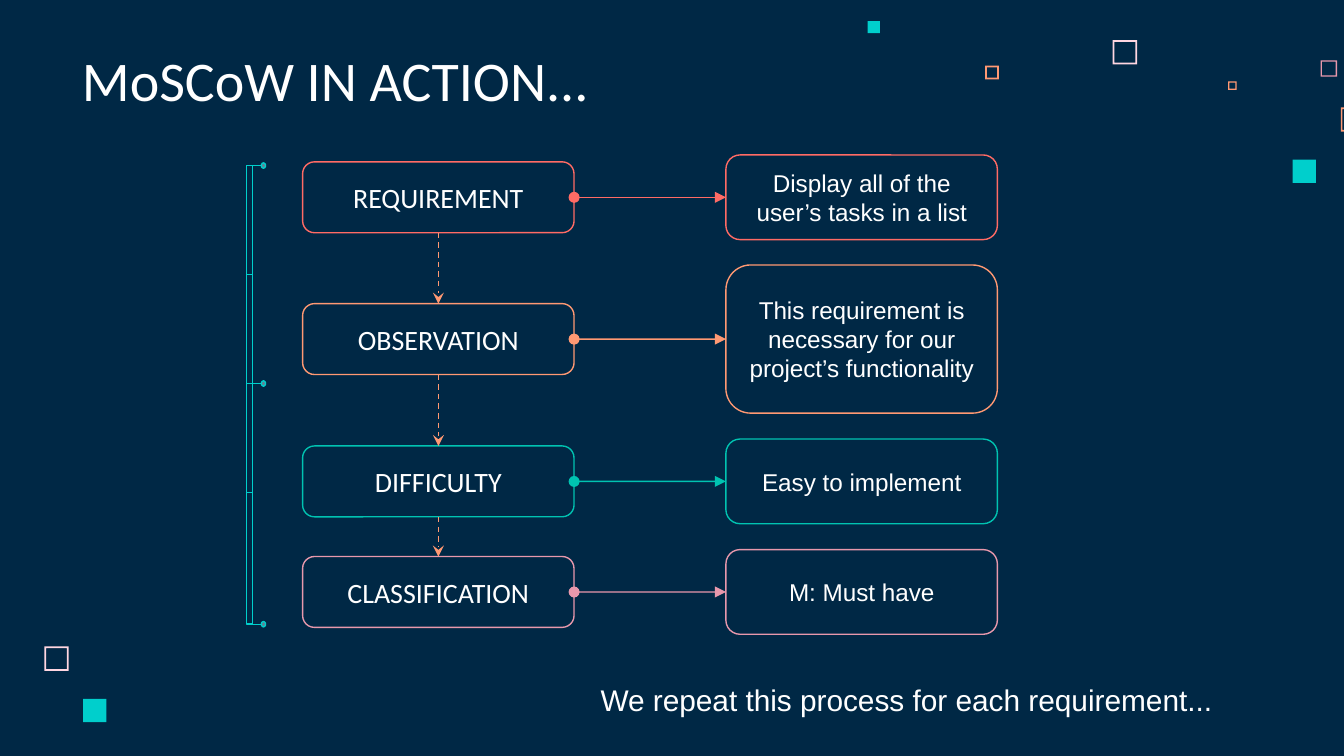
from dataclasses import dataclass
from itertools import pairwise

from pptx import Presentation
from pptx import util as u
from pptx.dml.color import RGBColor
from pptx.enum import dml, shapes, text
from pptx.oxml import ns
from lxml import etree

CORAL, ORANGE, GREEN, PINK = "FF6B65", "FF9973", "00C3B1", "E898AC"
WHITE, CYAN, BLUSH, SLATE, NAVY = "FFFFFF", "00CFCC", "FFD6E1", "667E92", "002845"


@dataclass
class Square:
    x: float
    y: float
    size: float
    color: str
    border: float = 0  # share of the size; 0 means solid


@dataclass
class Step:
    name: str
    example: str
    color: str
    mid: float
    example_h: float = 1.6


SQUARES = [
    Square(21.03, 0.76, 0.46, BLUSH, 0.07),
    Square(24.96, 1.14, 0.31, PINK, 0.08),
    Square(23.21, 1.54, 0.16, ORANGE, 0.15),
    Square(25.34, 2.03, 0.46, ORANGE, 0.07),
    Square(24.43, 3.02, 0.44, CYAN),
    Square(18.62, 1.24, 0.26, ORANGE, 0.13),
    Square(16.4, 0.4, 0.23, CYAN),
    Square(0.84, 12.22, 0.46, BLUSH, 0.07),
    Square(1.57, 13.21, 0.44, CYAN),
]
STEPS = [
    Step("REQUIREMENT", "Display all of the user’s tasks in a list", CORAL, 3.73),
    Step("OBSERVATION", "This requirement is necessary for our project’s functionality",
         ORANGE, 6.41, 2.8),
    Step("DIFFICULTY", "Easy to implement", GREEN, 9.1),
    Step("CLASSIFICATION", "M: Must have", PINK, 11.19),
]
NAME_X, EXAMPLE_X, BOX_W, NAME_H = 5.72, 13.72, 5.13, 1.34
RULER_X, RULER_W = 4.66, 0.11
RULER_MARKS = [3.13, 5.19, 7.25, 9.31, 11.8]


def rgb(color: str) -> RGBColor:
    return RGBColor.from_string(color)


def add_shape(kind, x: float, y: float, w: float, h: float, fill=None, line=None):
    sp = s.shapes.add_shape(kind, u.Cm(x), u.Cm(y), u.Cm(w), u.Cm(h))
    sp.shadow.inherit = False
    if fill:
        sp.fill.solid()
        sp.fill.fore_color.rgb = rgb(fill)
    else:
        sp.fill.background()
    if line:
        sp.line.color.rgb = rgb(line)
        sp.line.width = u.Pt(0.75)
    else:
        sp.line.fill.background()
    return sp


def write(sp, content: str, *, size: float, font: str, color: str = WHITE,
          align=text.PP_ALIGN.CENTER, anchor=text.MSO_ANCHOR.MIDDLE) -> None:
    tf = sp.text_frame
    tf.word_wrap = True
    tf.vertical_anchor = anchor
    tf.margin_left = tf.margin_right = tf.margin_top = tf.margin_bottom = u.Cm(0.25)
    p = tf.paragraphs[0]
    p.alignment = align
    r = p.add_run()
    r.text = content
    r.font.size = u.Pt(size)
    r.font.name = font
    r.font.color.rgb = rgb(color)


def add_heading(x: float, y: float, content: str, size: float, font: str) -> None:
    sp = s.shapes.add_textbox(u.Cm(x), u.Cm(y), u.Cm(13.13), u.Cm(1.6))
    write(sp, content, size=size, font=font, align=text.PP_ALIGN.LEFT,
          anchor=text.MSO_ANCHOR.BOTTOM)


def add_line(color: str, x1: float = 0, y1: float = 0, x2: float = 0, y2: float = 0,
             head: str = "", tail: str = "", dashed: bool = False):
    cn = s.shapes.add_connector(shapes.MSO_CONNECTOR.STRAIGHT,
                                u.Cm(x1), u.Cm(y1), u.Cm(x2), u.Cm(y2))
    cn.line.color.rgb = rgb(color)
    cn.line.width = u.Pt(0.75)
    if dashed:
        cn.line.dash_style = dml.MSO_LINE.DASH
    ln = cn.line._get_or_add_ln()
    for tag, kind in (("a:headEnd", head), ("a:tailEnd", tail)):
        if kind:
            etree.SubElement(ln, ns.qn(tag), type=kind, w="med", len="med")
    etree.SubElement(cn._element.spPr, ns.qn("a:effectLst"))
    return cn


def join(start, start_side: int, end, end_side: int, color: str, **ends) -> None:
    cn = add_line(color, **ends)
    cn.begin_connect(start, start_side)
    cn.end_connect(end, end_side)


def add_box(x: float, mid: float, h: float, color: str, content: str,
            size: float, font: str):
    sp = add_shape(shapes.MSO_SHAPE.ROUNDED_RECTANGLE, x, mid - h / 2, BOX_W, h, line=color)
    write(sp, content, size=size, font=font)
    return sp


def add_square(q: Square) -> None:
    kind = shapes.MSO_SHAPE.FRAME if q.border else shapes.MSO_SHAPE.RECTANGLE
    sp = add_shape(kind, q.x, q.y, q.size, q.size, fill=q.color)
    if q.border:
        sp.adjustments[0] = q.border


prs = Presentation()
prs.slide_width, prs.slide_height = u.Cm(25.4), u.Cm(14.29)
s = prs.slides.add_slide(prs.slide_layouts[6])
s.background.fill.solid()
s.background.fill.fore_color.rgb = rgb(NAVY)

# Scattered squares
for square in SQUARES:
    add_square(square)

# Title and closing remark
add_heading(1.3, 0.79, "MoSCoW IN ACTION...", 30, "Calibri")
add_heading(11.1, 12.22, "We repeat this process for each requirement...", 16, "Arial")

# Steps with their examples
names = []
for step in STEPS:
    name = add_box(NAME_X, step.mid, NAME_H, step.color, step.name, 15, "Calibri")
    example = add_box(EXAMPLE_X, step.mid, step.example_h, step.color, step.example, 13, "Arial")
    join(name, 3, example, 1, step.color, head="oval", tail="triangle")
    names.append(name)

# Dashed arrows from step to step
for upper, lower in pairwise(names):
    join(upper, 2, lower, 0, ORANGE, tail="stealth", dashed=True)

# Ruler on the left: four segments, a tick with a dot at three marks
for top, bottom in pairwise(RULER_MARKS):
    add_shape(shapes.MSO_SHAPE.RECTANGLE, RULER_X, top, RULER_W, bottom - top, line=CYAN)
for mark in RULER_MARKS[::2]:
    add_line(CYAN, 4.95, mark, 4.67, mark)
    add_shape(shapes.MSO_SHAPE.OVAL, 4.94, mark - 0.05, 0.08, 0.1, fill=SLATE, line=CYAN)

prs.save("out.pptx")
